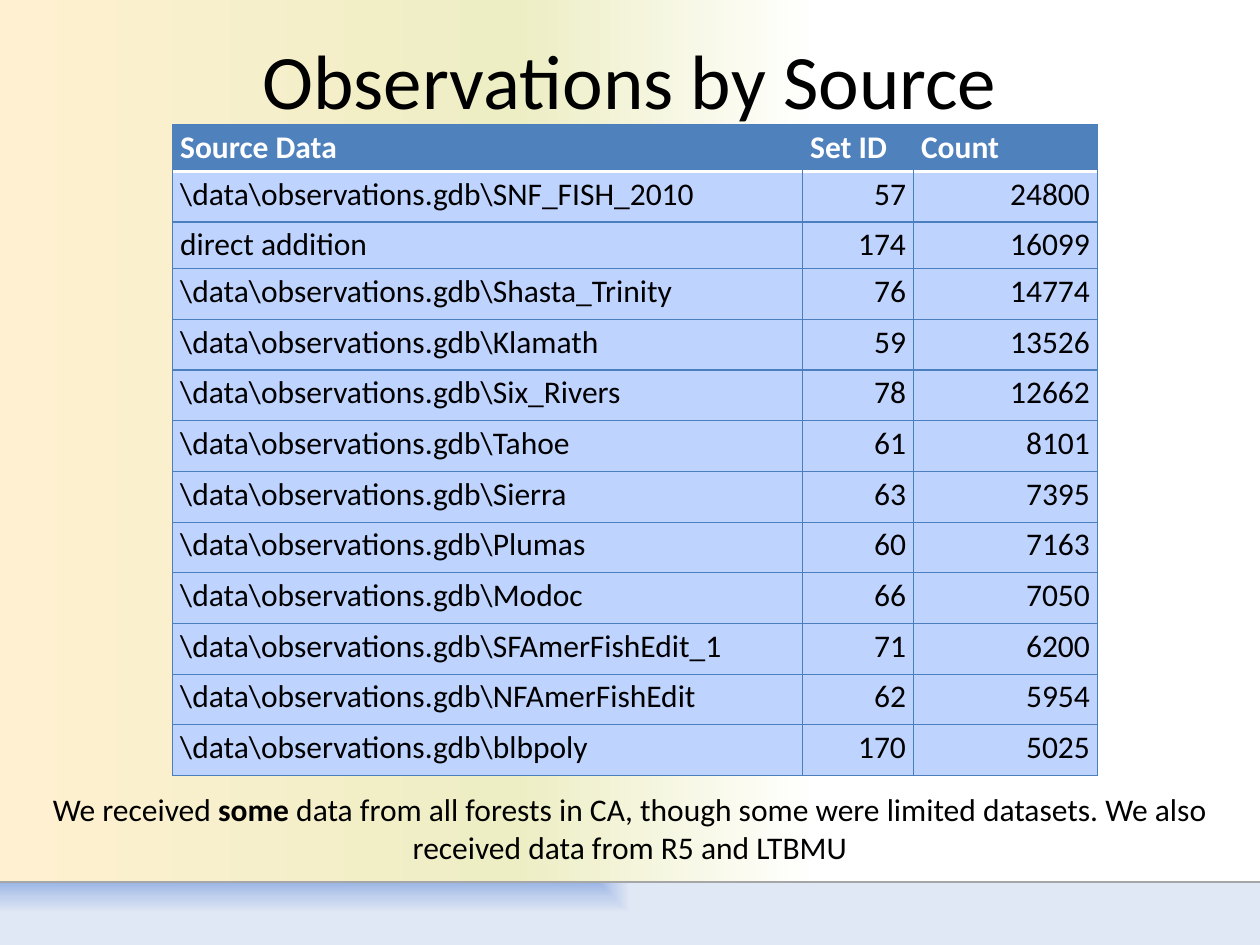
from lxml import etree
from pptx import Presentation
from pptx.dml.color import RGBColor
from pptx.enum.shapes import MSO_CONNECTOR, MSO_SHAPE
from pptx.enum.text import MSO_ANCHOR, PP_ALIGN
from pptx.oxml import parse_xml
from pptx.oxml.ns import qn
from pptx.util import Inches, Pt

LEFT, MID, RIGHT = PP_ALIGN.LEFT, PP_ALIGN.CENTER, PP_ALIGN.RIGHT
TOP, CENTER = MSO_ANCHOR.TOP, MSO_ANCHOR.MIDDLE
RECT, LINE = MSO_SHAPE.RECTANGLE, MSO_CONNECTOR.STRAIGHT
NS = 'xmlns:a="http://schemas.openxmlformats.org/drawingml/2006/main"'
COLORS = {
    "ink": "000000", "white": "FFFFFF", "head": "4F81BD", "body": "BFD3FF",
    "edge": "4B7EBC", "rule": "A6A6A6", "cream": "FFF0D1", "lime": "EDEEC4",
    "deep": "9AB5E4", "sky": "C2D1ED", "pale": "E1E8F5",
}
RGB = {name: RGBColor.from_string(code) for name, code in COLORS.items()}


def write(frame, *parts, size=18, color="ink", bold=(), align=LEFT):
    """Write the parts as runs of one paragraph; bold lists the bold part numbers."""
    para = frame.paragraphs[0]
    para.alignment = align
    for num, part in enumerate(parts):
        run = para.add_run()
        run.text = part
        run.font.name, run.font.size = "Calibri", Pt(size)
        run.font.bold = num in bold
        run.font.color.rgb = RGB[color]


def shade(node, stops, form):
    """Replace the gradient found in node; stops are (percent, color) pairs."""
    old = node.find(".//" + qn("a:gradFill"))
    marks = "".join(
        f'<a:gs pos="{pos * 1000}"><a:srgbClr val="{COLORS[name]}"/></a:gs>'
        for pos, name in stops)
    new = parse_xml(f'<a:gradFill {NS} rotWithShape="1"><a:gsLst>{marks}</a:gsLst>{form}</a:gradFill>')
    old.getparent().replace(old, new)


prs = Presentation()
prs.slide_width, prs.slide_height = Inches(10), Inches(7.5)
W, H = prs.slide_width, prs.slide_height
slide = prs.slides.add_slide(prs.slide_layouts[5])
shapes = slide.shapes

# Backdrop
slide.background.fill.gradient()
shade(slide.element, [(0, "cream"), (41, "lime"), (65, "white"), (100, "white")],
      '<a:lin ang="0" scaled="0"/>')
base = Inches(7)
veil = shapes.add_shape(RECT, Inches(6.75), 0, Inches(3.25), Inches(5.25))
band = shapes.add_shape(RECT, 0, base, W, H - base)
for box in (veil, band):
    box.shadow.inherit = False
    box.line.fill.background()
veil.fill.solid()
veil.fill.fore_color.rgb = RGB["white"]
tint = veil.element.spPr.find(".//" + qn("a:srgbClr"))
etree.SubElement(tint, qn("a:alpha")).set("val", "69000")
band.fill.gradient()
shade(band.element, [(0, "deep"), (50, "sky"), (100, "pale")],
      '<a:path path="rect"><a:fillToRect r="100000" b="100000"/></a:path>')
rule = shapes.add_connector(LINE, 0, base, W, base)
rule.line.color.rgb = RGB["rule"]
rule.line.width = Pt(0.75)
etree.SubElement(rule.element.spPr, qn("a:effectLst"))

# Title, raised above the backdrop
title = shapes.title
title.element.getparent().append(title.element)
title.left, title.top, title.width, title.height = Inches(0.5), 0, Inches(9), Inches(1.25)
title.text_frame.vertical_anchor = CENTER
write(title.text_frame, "Observations by Source", size=44, align=MID)

# Table
STEM = "\\data\\observations.gdb\\"
rows = [
    ("Source Data", "Set ID", "Count"),
    (STEM + "SNF_FISH_2010", 57, 24800),
    ("direct addition", 174, 16099),
    (STEM + "Shasta_Trinity", 76, 14774),
    (STEM + "Klamath", 59, 13526),
    (STEM + "Six_Rivers", 78, 12662),
    (STEM + "Tahoe", 61, 8101),
    (STEM + "Sierra", 63, 7395),
    (STEM + "Plumas", 60, 7163),
    (STEM + "Modoc", 66, 7050),
    (STEM + "SFAmerFishEdit_1", 71, 6200),
    (STEM + "NFAmerFishEdit", 62, 5954),
    (STEM + "blbpoly", 170, 5025),
]
cols = [5, 0.88, 1.46]
low, full = 0.37, 5.17
tall = (full - 2 * low) / (len(rows) - 2)
table = shapes.add_table(len(rows), len(cols), Inches(1.37), Inches(0.99),
                         Inches(sum(cols)), Inches(full)).table
table.first_row = table.horz_banding = False
for col, width in zip(table.columns, cols):
    col.width = Inches(width)
for r, row in enumerate(rows):
    table.rows[r].height = Inches(low if r in (0, 2) else tall)
    head = r == 0
    for c, value in enumerate(row):
        cell = table.cell(r, c)
        cell.margin_left = cell.margin_right = Inches(0.06)
        cell.margin_top = cell.margin_bottom = Inches(0.03)
        cell.vertical_anchor = CENTER if head else TOP
        cell.fill.solid()
        cell.fill.fore_color.rgb = RGB["head" if head else "body"]
        write(cell.text_frame, str(value), color="white" if head else "ink",
              bold=(0,) if head else (), align=RIGHT if c and not head else LEFT)
        props = cell.fill.fore_color and cell._tc.get_or_add_tcPr()
        for spot, side in enumerate("LRTB"):
            seam = (r, side) in ((0, "B"), (1, "T"))
            name, width = ("white", 2) if seam else ("head" if head and side in "LR" else "edge", 0.75)
            props.insert(spot, parse_xml(
                f'<a:ln{side} {NS} w="{Pt(width)}"><a:solidFill>'
                f'<a:srgbClr val="{COLORS[name]}"/></a:solidFill></a:ln{side}>'))

# Note below the table
note = shapes.add_textbox(0, Inches(6.22), W, Inches(0.71)).text_frame
note.word_wrap = True
write(note, "We received ", "some",
      " data from all forests in CA, though some were limited datasets."
      " We also received data from R5 and LTBMU", bold=(1,), align=MID)

prs.save("out.pptx")
